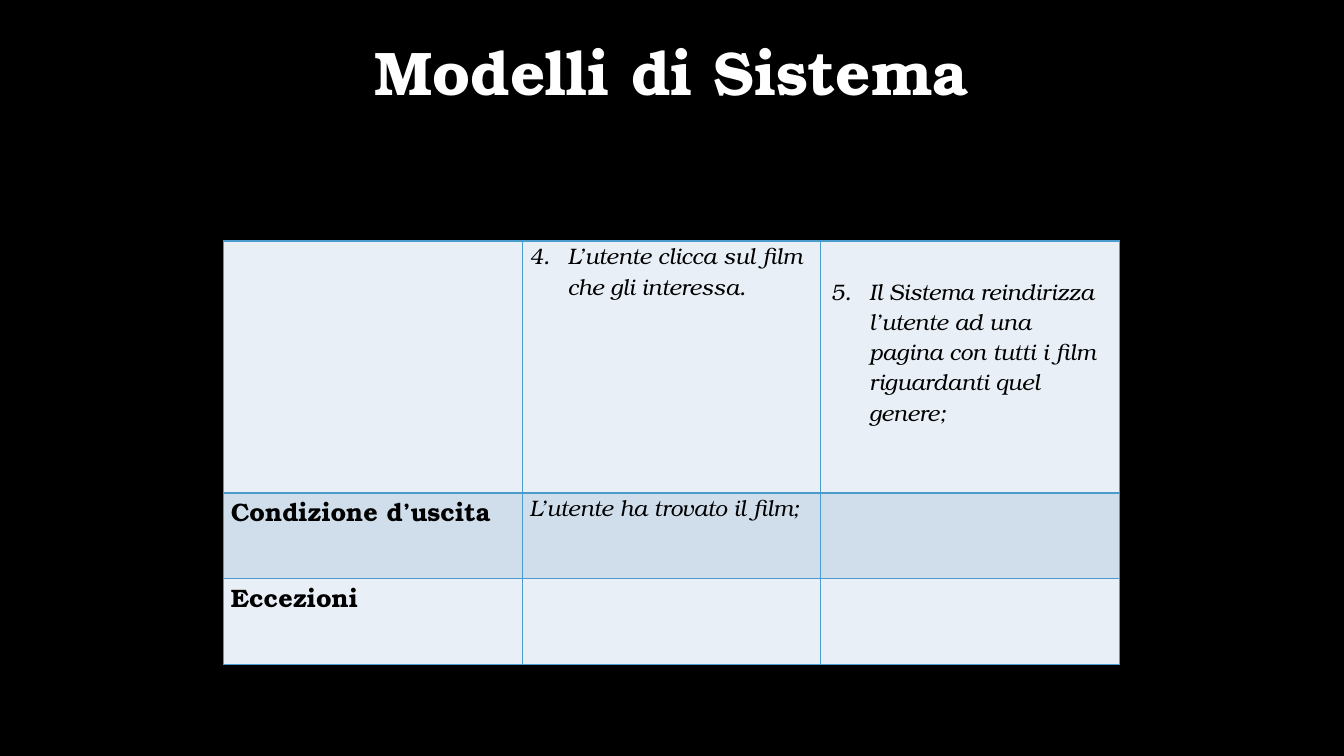
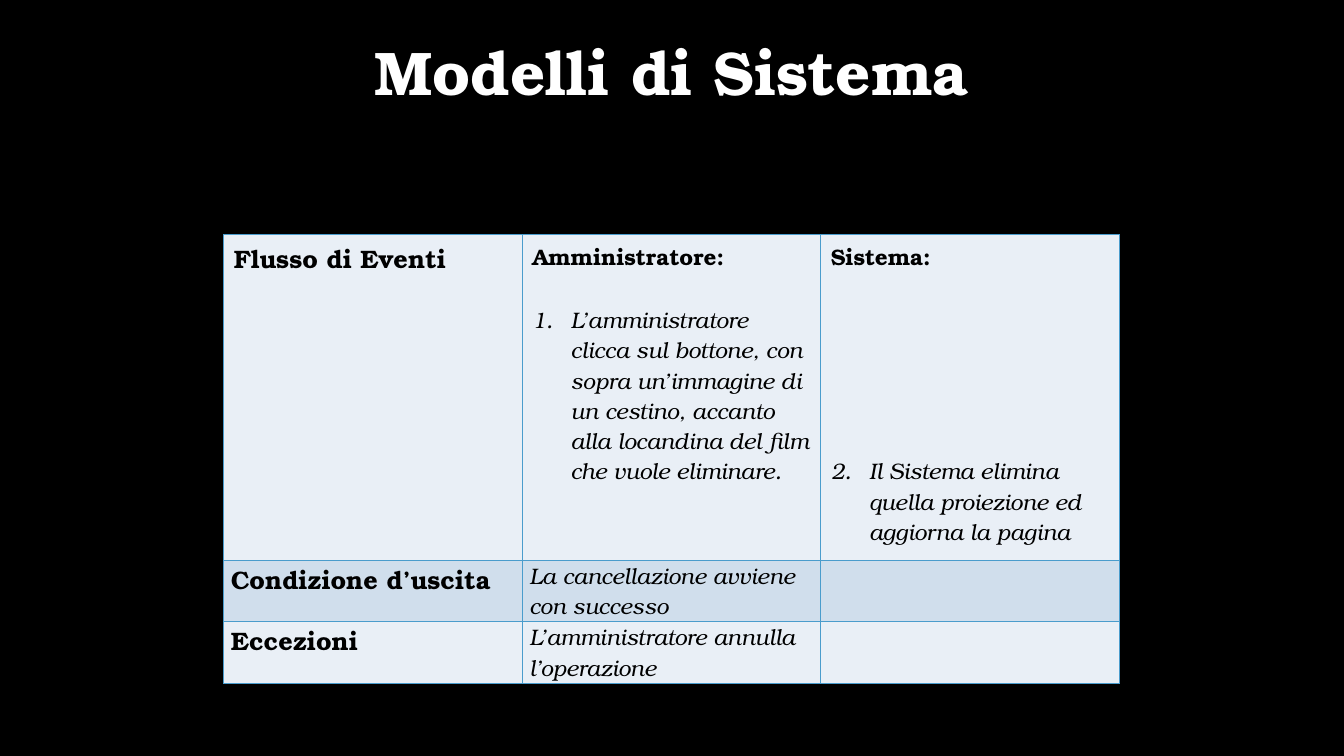
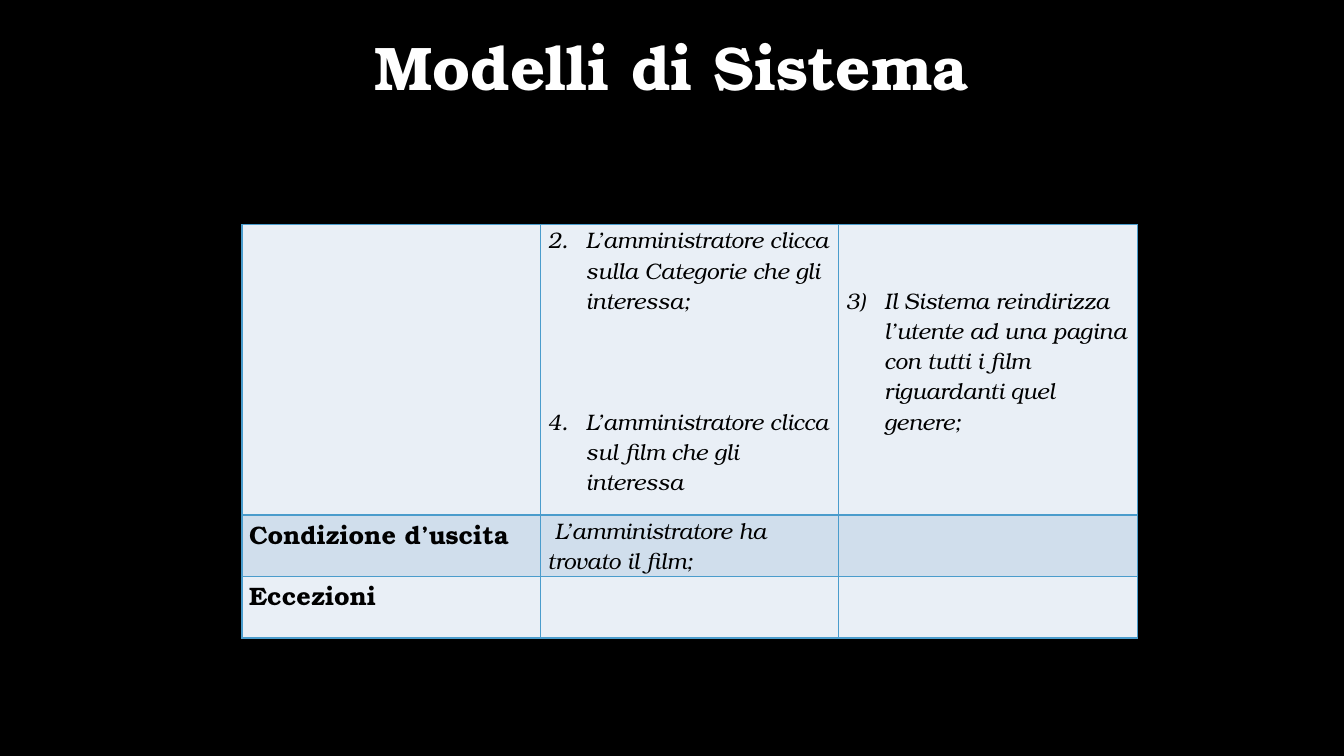
from dataclasses import dataclass
from lxml.etree import SubElement
from pptx import Presentation
from pptx.dml.color import RGBColor
from pptx.enum.shapes import MSO_SHAPE as Kind
from pptx.enum.text import MSO_ANCHOR as Anchor, MSO_AUTO_SIZE as Fit, PP_ALIGN as Align
from pptx.oxml.ns import qn
from pptx.util import Inches, Pt

WIDE, HIGH = 13.33, 7.5
FONT = "TeX Gyre Bonum"
HEX = {"back": "000000", "title": "FFFFFF", "text": "000000", "glow": "CAEB96",
       "pale": "E9EFF6", "deep": "D0DEEC", "rule": "4A9CCC"}
COL = 2.96
HANG = 0.38
LOW_PANEL = (1.44, 1.93, 10.69, 4.86)
TALL_PANEL = (1.32, 1.51, 10.69, 5.65)


@dataclass
class Para:
    words: str
    size: int = 16
    bold: bool = False
    start: int = 0
    mark: str = "arabicPeriod"
    gap: int = 0
    indent: float = 0


@dataclass
class Cell:
    paras: tuple = ()
    side: float = 0.07
    top: float = 0


def color(name):
    return RGBColor.from_string(HEX[name])


def head(words):
    return Cell((Para(words, 18, True),))


def note(words, indent=0):
    return Cell((Para(words, indent=indent),))


def step(start, words, **more):
    return Para(words, start=start, **more)


def set_indent(para, left, first):
    props = para._p.get_or_add_pPr()
    props.set("marL", str(Inches(left)))
    props.set("indent", str(Inches(first)))
    return props


def write(para, item):
    para.text = item.words
    para.space_before = Pt(item.gap)
    if item.start:
        props = set_indent(para, HANG, -HANG)
        SubElement(props, qn("a:buFont"), typeface="+mj-lt")
        SubElement(props, qn("a:buAutoNum"), type=item.mark, startAt=str(item.start))
    elif item.indent:
        set_indent(para, 0, item.indent)
    font = para.font
    font.name, font.size = FONT, Pt(item.size)
    font.bold, font.italic = item.bold, not item.bold
    font.color.rgb = color("text")


def add_rules(cell):
    props = cell._tc.get_or_add_tcPr()
    for side in ("lnL", "lnR", "lnT", "lnB"):
        line = SubElement(props, qn("a:" + side), w=str(Pt(1)))
        fill = SubElement(line, qn("a:solidFill"))
        SubElement(fill, qn("a:srgbClr"), val=HEX["rule"])


def fill_cell(cell, item, tone):
    add_rules(cell)
    cell.fill.solid()
    cell.fill.fore_color.rgb = color(tone)
    cell.margin_left = cell.margin_right = Inches(item.side)
    cell.margin_top, cell.margin_bottom = Inches(item.top), 0
    frame = cell.text_frame
    for i, para in enumerate(item.paras):
        write(frame.add_paragraph() if i else frame.paragraphs[0], para)


def shade(shape):
    """Give the shape the dark, partly clear gradient of the deck."""
    fill = shape.fill
    fill.gradient()
    fill.gradient_angle = 315
    for stop, name in zip(fill.gradient_stops, ("glow", "back")):
        stop.color.rgb = color(name)
        stop.position = 0
    for tint in list(shape._element.spPr.iter(qn("a:srgbClr")))[1:]:
        SubElement(tint, qn("a:alpha"), val="56000")


def add_panel(slide, box):
    panel = slide.shapes.add_shape(Kind.RECTANGLE, *map(Inches, box))
    panel.shadow.inherit = False
    panel.line.fill.background()
    shade(panel)


def add_title(slide, top):
    title = slide.shapes.title
    title.left, title.top = 0, Inches(top)
    title.width, title.height = Inches(WIDE), Inches(0.88)
    shade(title)
    frame = title.text_frame
    frame.auto_size, frame.vertical_anchor = Fit.NONE, Anchor.TOP
    frame.margin_top = Inches(0.01)
    para = frame.paragraphs[0]
    para.text = "Modelli di Sistema"
    para.alignment, para.line_spacing = Align.CENTER, 0.9
    font = para.font
    font.name, font.size, font.bold = FONT, Pt(44), True
    font.color.rgb = color("title")


def add_grid(slide, left, top, highs, rows):
    frame = slide.shapes.add_table(len(rows), 3, Inches(left), Inches(top),
                                   Inches(3 * COL), Inches(sum(highs)))
    table = frame.table
    for col in table.columns:
        col.width = Inches(COL)
    for r, (high, row) in enumerate(zip(highs, rows)):
        table.rows[r].height = Inches(high)
        for c, item in enumerate(row):
            fill_cell(table.cell(r, c), item, "deep" if r % 2 else "pale")


def add_case(deck, title_top, panel, left, top, highs, flow, end, fault=Cell()):
    """Add a slide with the flow of events, the exit condition and the exceptions."""
    slide = deck.slides.add_slide(deck.slide_layouts[5])
    add_title(slide, title_top)
    add_panel(slide, panel)
    add_grid(slide, left, top, highs, [
        flow,
        (head("Condizione d’uscita"), end, Cell()),
        (head("Eccezioni"), fault, Cell()),
    ])


def main():
    deck = Presentation()
    deck.slide_width, deck.slide_height = Inches(WIDE), Inches(HIGH)
    back = deck.slide_master.background.fill
    back.solid()
    back.fore_color.rgb = color("back")

    mid = 2.22
    guide = "Il Sistema reindirizza l’utente ad una pagina con tutti i film riguardanti quel genere;"

    add_case(deck, 0.41, LOW_PANEL, mid, 2.39, (2.5, 0.85, 0.85), (
        Cell(),
        Cell((step(4, "L’utente clicca sul film che gli interessa."),)),
        Cell((step(5, guide),), 0.1, 0.35),
    ), note("L’utente ha trovato il film;"))

    add_case(deck, 0.41, TALL_PANEL, mid, 2.33, (3.23, 0.61, 0.61), (
        Cell((Para("Flusso di Eventi", 18, True),), 0.1, 0.05),
        Cell((Para("Amministratore:", bold=True),
              step(1, "L’amministratore clicca sul bottone, con sopra un’immagine di un "
                      "cestino, accanto alla locandina del film che vuole eliminare.", gap=23)),
             0.1, 0.05),
        Cell((Para("Sistema:", bold=True),
              step(2, "Il Sistema elimina quella proiezione ed aggiorna la pagina", gap=131)),
             0.1, 0.05),
    ), note("La cancellazione avviene con successo"),
        note("L’amministratore annulla l’operazione"))

    add_case(deck, 0.36, TALL_PANEL, 2.4, 2.23, (2.88, 0.61, 0.61), (
        Cell(),
        Cell((step(2, "L’amministratore clicca sulla Categorie che gli interessa;"),
              step(4, "L’amministratore clicca sul film che gli interessa", gap=65))),
        Cell((step(3, guide, mark="arabicParenR"),), top=0.6),
    ), note("L’amministratore ha trovato il film;", 0.07))

    deck.save("out.pptx")


if __name__ == "__main__":
    main()
